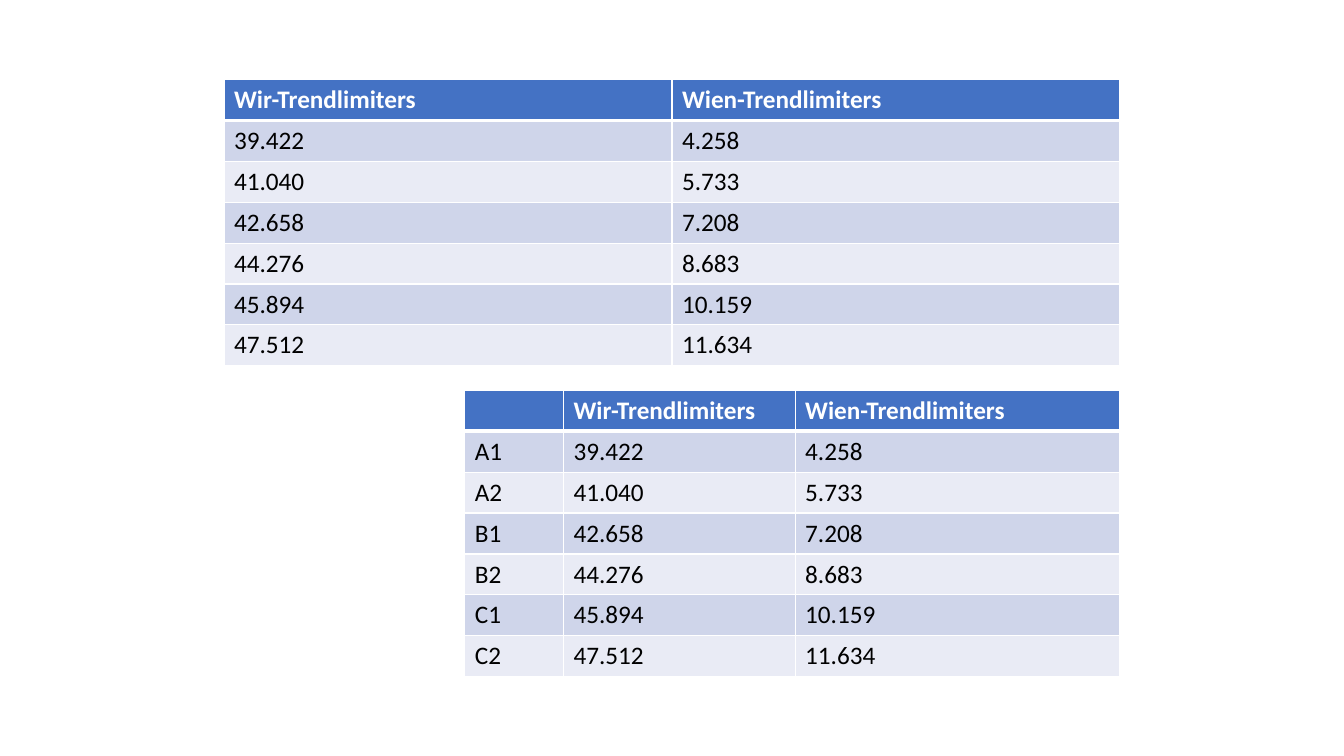
from lxml import etree
from pptx import Presentation
from pptx.dml.color import RGBColor
from pptx.oxml.ns import qn
from pptx.util import Pt

WHITE = RGBColor(0xFF, 0xFF, 0xFF)
BLACK = RGBColor(0, 0, 0)
BLUE = RGBColor(0x44, 0x72, 0xC4)
BANDS = RGBColor(0xE9, 0xEB, 0xF5), RGBColor(0xCF, 0xD5, 0xEA)
ROW = 29.2

names = ["", "A1", "A2", "B1", "B2", "C1", "C2"]
limits = [
    ["Wir-Trendlimiters", "Wien-Trendlimiters"],
    ["39.422", "4.258"],
    ["41.040", "5.733"],
    ["42.658", "7.208"],
    ["44.276", "8.683"],
    ["45.894", "10.159"],
    ["47.512", "11.634"],
]
named = [[name] + row for name, row in zip(names, limits)]


def border(cell, side, width):
    line = etree.SubElement(cell._tc.get_or_add_tcPr(), qn("a:" + side), w=str(Pt(width)))
    fill = etree.SubElement(line, qn("a:solidFill"))
    etree.SubElement(fill, qn("a:srgbClr"), val=str(WHITE))


deck = Presentation()
deck.slide_width, deck.slide_height = Pt(960), Pt(540)
slide = deck.slides.add_slide(deck.slide_layouts[6])

for left, top, widths, data in [
    (160, 56.9, [320, 320], limits),
    (332, 278.9, [70.5, 165.5, 232], named),
]:
    table = slide.shapes.add_table(
        len(data), len(widths), Pt(left), Pt(top), Pt(sum(widths)), Pt(ROW * len(data))
    ).table
    for col, width in zip(table.columns, widths):
        col.width = Pt(width)
    for r, row in enumerate(data):
        head = r == 0
        for c, word in enumerate(row):
            cell = table.cell(r, c)
            for side in ("lnL", "lnR", "lnT", "lnB"):
                thick = (r, side) in [(0, "lnB"), (1, "lnT")]
                border(cell, side, 3 if thick else 1)
            cell.fill.solid()
            cell.fill.fore_color.rgb = BLUE if head else BANDS[r % 2]
            para = cell.text_frame.paragraphs[0]
            if word:
                para.text = word
            font = para.font
            font.name, font.size, font.bold = "Calibri", Pt(18), head
            font.color.rgb = WHITE if head else BLACK

deck.save("out.pptx")
